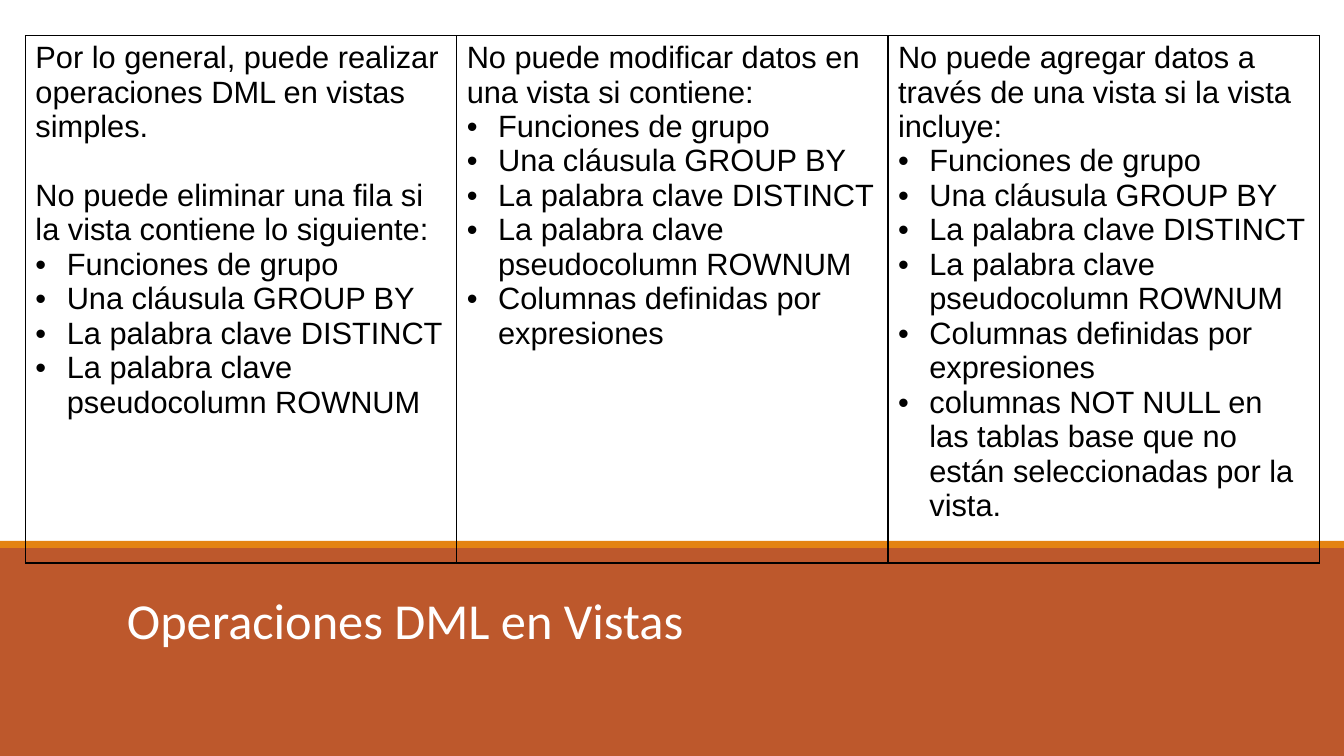
import dataclasses

import lxml.etree
import pptx
import pptx.dml.color
import pptx.enum.shapes
import pptx.enum.text
import pptx.oxml.ns
import pptx.presentation
import pptx.slide
import pptx.table
import pptx.text.text
import pptx.util

Cm = pptx.util.Cm
Pt = pptx.util.Pt
qn = pptx.oxml.ns.qn

COLORS = {
    "text": "000000",
    "title": "FFFFFF",
    "panel": "BD582C",
    "stripe": "E48312",
}
SLIDE_WIDTH = Cm(33.87)
SLIDE_HEIGHT = Cm(19.05)
COLUMN_WIDTH = Cm(10.87)
ROW_HEIGHT = Cm(12.32)
BULLET_INDENT = Cm(0.79)
BLANK_LINE = Pt(24.6)


@dataclasses.dataclass(frozen=True)
class Band:
    top: float
    height: float
    color: str


@dataclasses.dataclass(frozen=True)
class Rule:
    statements: tuple[str, ...]
    items: tuple[str, ...]


BANDS = (
    Band(13.77, 5.28, "panel"),
    Band(13.63, 0.18, "stripe"),
)

COMMON_ITEMS = (
    "Funciones de grupo",
    "Una cláusula GROUP BY",
    "La palabra clave DISTINCT",
    "La palabra clave pseudocolumn ROWNUM",
)
MODIFY_ITEMS = COMMON_ITEMS + ("Columnas definidas por expresiones",)
INSERT_ITEMS = MODIFY_ITEMS + (
    "columnas NOT NULL en las tablas base que no están seleccionadas por la vista.",
)

RULES = (
    Rule(
        (
            "Por lo general, puede realizar operaciones DML en vistas simples.",
            "No puede eliminar una fila si la vista contiene lo siguiente:",
        ),
        COMMON_ITEMS,
    ),
    Rule(("No puede modificar datos en una vista si contiene:",), MODIFY_ITEMS),
    Rule(
        ("No puede agregar datos a través de una vista si la vista incluye:",),
        INSERT_ITEMS,
    ),
)


def rgb(name: str) -> pptx.dml.color.RGBColor:
    return pptx.dml.color.RGBColor.from_string(COLORS[name])


def add_solid_fill(parent: lxml.etree._Element, tag: str, color: str) -> None:
    holder = lxml.etree.SubElement(parent, qn(tag))
    lxml.etree.SubElement(holder, qn("a:srgbClr"), val=COLORS[color])


def add_bullet(paragraph: pptx.text.text._Paragraph) -> None:
    properties = paragraph._p.get_or_add_pPr()
    properties.set("marL", str(BULLET_INDENT))
    properties.set("indent", str(-BULLET_INDENT))
    add_solid_fill(properties, "a:buClr", "text")
    lxml.etree.SubElement(properties, qn("a:buFont"), typeface="Arial")
    lxml.etree.SubElement(properties, qn("a:buChar"), char="•")


def format_runs(
    paragraph: pptx.text.text._Paragraph, face: str, size: int, color: str
) -> None:
    for run in paragraph.runs:
        run.font.name = face
        run.font.size = Pt(size)
        run.font.color.rgb = rgb(color)


def add_borders(cell: pptx.table._Cell) -> None:
    properties = cell._tc.get_or_add_tcPr()
    for position, side in enumerate(("a:lnL", "a:lnR", "a:lnT", "a:lnB")):
        border = lxml.etree.Element(qn(side), w=str(Pt(1)))
        add_solid_fill(border, "a:solidFill", "text")
        properties.insert(position, border)


def fill_rule(cell: pptx.table._Cell, rule: Rule) -> None:
    cell.fill.background()
    add_borders(cell)
    cell.text_frame.text = "\n".join(rule.statements + rule.items)
    statement_count = len(rule.statements)
    for index, paragraph in enumerate(cell.text_frame.paragraphs):
        if index >= statement_count:
            add_bullet(paragraph)
        elif index > 0:
            paragraph.space_before = BLANK_LINE
        format_runs(paragraph, "Arial", 22, "text")


def draw_band(slide: pptx.slide.Slide, band: Band) -> None:
    strip = slide.shapes.add_shape(
        pptx.enum.shapes.MSO_SHAPE.RECTANGLE,
        0, Cm(band.top), SLIDE_WIDTH, Cm(band.height),
    )
    strip.shadow.inherit = False
    strip.fill.solid()
    strip.fill.fore_color.rgb = rgb(band.color)
    strip.line.fill.background()


def draw_title(slide: pptx.slide.Slide, wording: str) -> None:
    title = slide.shapes.add_textbox(Cm(2.95), Cm(14.22), Cm(27.94), Cm(2.29))
    frame = title.text_frame
    frame.word_wrap = True
    frame.vertical_anchor = pptx.enum.text.MSO_ANCHOR.BOTTOM
    frame.text = wording
    heading = frame.paragraphs[0]
    heading.line_spacing = 0.85
    format_runs(heading, "Calibri", 36, "title")


def draw_rules(slide: pptx.slide.Slide, rules: tuple[Rule, ...]) -> None:
    table = slide.shapes.add_table(
        1, len(rules), Cm(0.64), Cm(0.9), COLUMN_WIDTH * len(rules), ROW_HEIGHT
    ).table
    table.first_row = False
    table.horz_banding = False
    for column, rule in enumerate(rules):
        table.columns[column].width = COLUMN_WIDTH
        fill_rule(table.cell(0, column), rule)


def main() -> None:
    deck = pptx.Presentation()
    deck.slide_width = SLIDE_WIDTH
    deck.slide_height = SLIDE_HEIGHT
    slide = deck.slides.add_slide(deck.slide_layouts[6])
    for band in BANDS:
        draw_band(slide, band)
    draw_title(slide, "Operaciones DML en Vistas")
    draw_rules(slide, RULES)
    deck.save("out.pptx")


if __name__ == "__main__":
    main()
